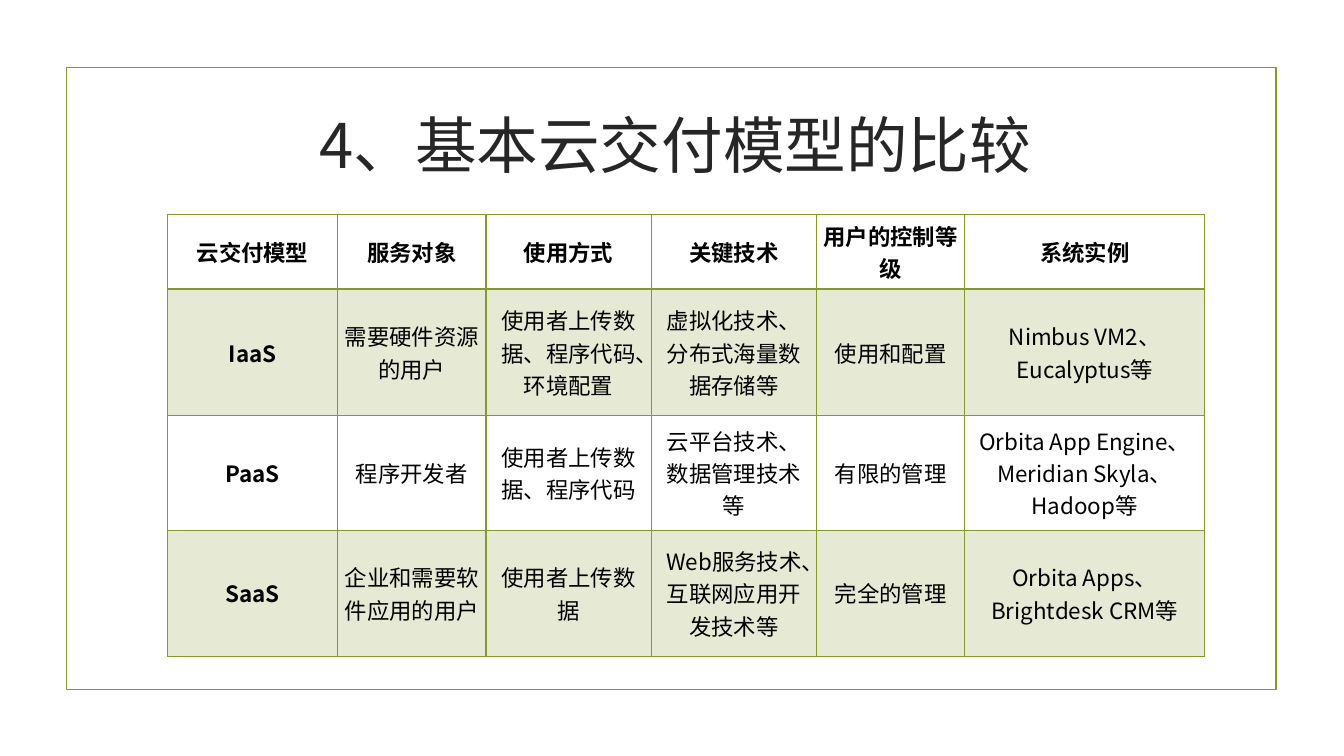
import pptx
import pptx.util
import pptx.dml.color
import pptx.enum.shapes
import pptx.enum.text
import pptx.oxml
import pptx.oxml.ns
import lxml.etree

Inches = pptx.util.Inches
Pt = pptx.util.Pt
qn = pptx.oxml.ns.qn

TITLE = "4、基本云交付模型的比较"
ROWS = [
    ("云交付模型", "服务对象", "使用方式", "关键技术", "用户的控制等级", "系统实例"),
    ("IaaS", "需要硬件资源的用户", "使用者上传数据、程序代码、环境配置",
     "虚拟化技术、分布式海量数据存储等", "使用和配置", "Nimbus VM2、Eucalyptus等"),
    ("PaaS", "程序开发者", "使用者上传数据、程序代码",
     "云平台技术、数据管理技术等", "有限的管理", "Orbita App Engine、Meridian Skyla、Hadoop等"),
    ("SaaS", "企业和需要软件应用的用户", "使用者上传数据",
     "Web服务技术、互联网应用开发技术等", "完全的管理", "Orbita Apps、Brightdesk CRM等"),
]
WIDTHS = [1.69, 1.47, 1.64, 1.64, 1.47, 2.38]
HEIGHTS = [0.74, 1.25, 1.14, 1.25]
FONT = "Noto Sans CJK SC"
GREEN, DARK, BLACK = "83992A", "262626", "000000"


def color(code):
    return pptx.dml.color.RGBColor.from_string(code)


def style(frame, size, code, bold=False):
    para = frame.paragraphs[0]
    para.alignment = pptx.enum.text.PP_ALIGN.CENTER
    for run in para.runs:
        run.font.size = Pt(size)
        run.font.bold = bold
        run.font.color.rgb = color(code)
        run.font.name = FONT
        east = lxml.etree.SubElement(run.font._element, qn("a:ea"))
        east.set("typeface", FONT)


def border(cell, side, width):
    props = cell._tc.get_or_add_tcPr()
    line = lxml.etree.SubElement(props, qn("a:" + side), w=str(Pt(width)))
    fill = lxml.etree.SubElement(line, qn("a:solidFill"))
    lxml.etree.SubElement(fill, qn("a:srgbClr"), val=GREEN)


def shade(cell, percent):
    cell.fill.solid()
    cell.fill.fore_color.rgb = color(GREEN)
    tint = cell._tc.tcPr.find(qn("a:solidFill")).find(qn("a:srgbClr"))
    lxml.etree.SubElement(tint, qn("a:alpha"), val=str(percent * 1000))


def main():
    deck = pptx.Presentation()
    deck.slide_width, deck.slide_height = Inches(13.33), Inches(7.5)
    slide = deck.slides.add_slide(deck.slide_layouts[6])
    shapes = slide.shapes

    frame = shapes.add_shape(pptx.enum.shapes.MSO_SHAPE.RECTANGLE,
                             Inches(0.66), Inches(0.67), Inches(12), Inches(6.17))
    frame.shadow.inherit = False
    frame.fill.background()
    frame.line.color.rgb = color(GREEN)
    frame.line.width = Pt(1.25)

    title = shapes.add_textbox(Inches(1.45), Inches(0.71), Inches(10.5), Inches(1.43))
    text = title.text_frame
    text.word_wrap = True
    text.vertical_anchor = pptx.enum.text.MSO_ANCHOR.MIDDLE
    text.text = TITLE
    style(text, 44, DARK)

    table = shapes.add_table(len(ROWS), len(WIDTHS), Inches(1.66), Inches(2.13),
                             Inches(sum(WIDTHS)), Inches(sum(HEIGHTS))).table
    table.horz_banding = False
    for col, width in zip(table.columns, WIDTHS):
        col.width = Inches(width)
    for row, height in zip(table.rows, HEIGHTS):
        row.height = Inches(height)

    for r, words in enumerate(ROWS):
        for c, word in enumerate(words):
            cell = table.cell(r, c)
            cell.text = word
            cell.vertical_anchor = pptx.enum.text.MSO_ANCHOR.MIDDLE
            cell.margin_left = cell.margin_right = Inches(0.07)
            cell.margin_top = cell.margin_bottom = 0
            style(cell.text_frame, 16, BLACK, r == 0 or c == 0)
            for side in ("lnL", "lnR", "lnT", "lnB"):
                thick = (r, side) in ((0, "lnB"), (1, "lnT"))
                border(cell, side, 2 if thick else 1)
            if r % 2:
                shade(cell, 20)
            else:
                cell.fill.background()

    deck.save("out.pptx")


if __name__ == "__main__":
    main()
